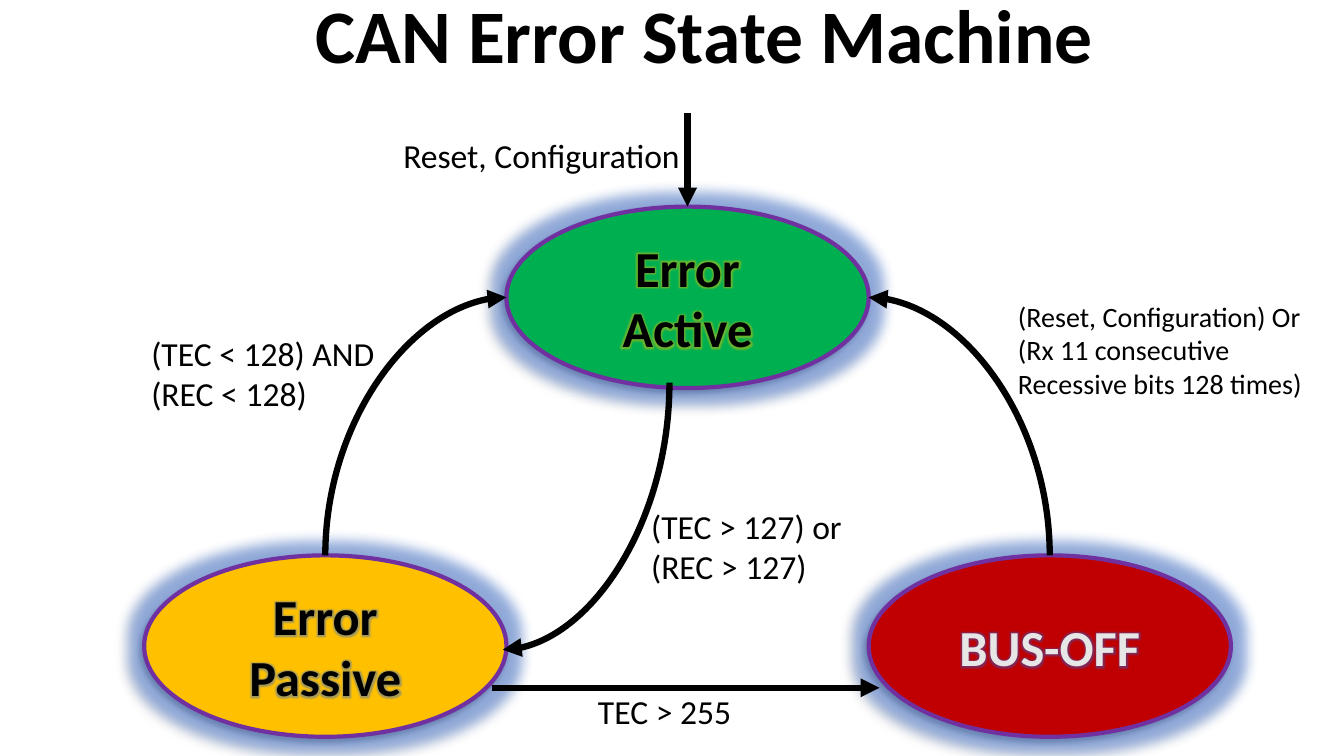
from dataclasses import dataclass

import pptx
import pptx.dml.color
import pptx.enum.shapes
import pptx.enum.text
import pptx.oxml
import pptx.oxml.ns
import pptx.util

Pt = pptx.util.Pt
qn = pptx.oxml.ns.qn
NS = pptx.oxml.ns.nsdecls("a")


@dataclass(frozen=True)
class Theme:
    font: str = "Calibri"
    ink: str = "000000"
    paper: str = "FFFFFF"
    pale: str = "E7E6E6"
    border: str = "7030A0"
    active: str = "00B050"
    passive: str = "FFC000"
    bus_off: str = "C00000"
    halo: str = "2563D8"
    gold: str = "FFC000"
    title_size: float = 54
    state_size: float = 36
    label_size: float = 24
    small_size: float = 20
    border_width: float = 3
    arrow_width: float = 4.5


THEME = Theme()


@dataclass(frozen=True)
class Box:
    left: float
    top: float
    width: float
    height: float

    def at(self, across, down):
        """Point at the given fractions of the width and height."""
        return self.left + across * self.width, self.top + down * self.height

    def lengths(self):
        return [Pt(v) for v in (self.left, self.top, self.width, self.height)]


def rgb(color):
    return pptx.dml.color.RGBColor.from_string(color)


def glow(color, radius):
    return pptx.oxml.parse_xml(
        f'<a:glow {NS} rad="{Pt(radius)}"><a:srgbClr val="{color}">'
        '<a:alpha val="40000"/></a:srgbClr></a:glow>')


def write(frame, text, size, color=THEME.ink, bold=False, align=None):
    frame.text = text
    for paragraph in frame.paragraphs:
        paragraph.alignment = align
        for run in paragraph.runs:
            run.font.name = THEME.font
            run.font.size = Pt(size)
            run.font.bold = bold
            run.font.color.rgb = rgb(color)


def draw_title(slide, box):
    title = slide.shapes.title
    title.left, title.top, title.width, title.height = box.lengths()
    frame = title.text_frame
    write(frame, "CAN Error State Machine", THEME.title_size, bold=True,
          align=pptx.enum.text.PP_ALIGN.CENTER)
    frame.word_wrap = False
    frame.vertical_anchor = pptx.enum.text.MSO_ANCHOR.TOP
    frame.auto_size = pptx.enum.text.MSO_AUTO_SIZE.SHAPE_TO_FIT_TEXT
    outline = pptx.oxml.parse_xml(
        f'<a:ln {NS} w="{Pt(0.75)}"><a:solidFill>'
        f'<a:srgbClr val="{THEME.paper}"/></a:solidFill></a:ln>')
    frame.paragraphs[0].runs[0].font.fill  # the fill follows the outline
    frame.paragraphs[0].runs[0].font._element.insert(0, outline)


def draw_state(slide, box, name, fill, color, text_glow):
    state = slide.shapes.add_shape(
        pptx.enum.shapes.MSO_SHAPE.OVAL, *box.lengths())
    state.fill.solid()
    state.fill.fore_color.rgb = rgb(fill)
    state.line.color.rgb = rgb(THEME.border)
    state.line.width = Pt(THEME.border_width)
    state.shadow.inherit = False
    effects = state.element.spPr.find(qn("a:effectLst"))
    effects.append(glow(THEME.halo, 18))
    effects.append(pptx.oxml.parse_xml(
        f'<a:outerShdw {NS} blurRad="{Pt(4)}" dist="{Pt(3)}" dir="8100000">'
        f'<a:srgbClr val="{THEME.ink}"><a:alpha val="40000"/></a:srgbClr>'
        '</a:outerShdw>'))
    frame = state.text_frame
    frame.vertical_anchor = pptx.enum.text.MSO_ANCHOR.MIDDLE
    write(frame, name, THEME.state_size, color, True,
          pptx.enum.text.PP_ALIGN.CENTER)
    for text_fill in frame._txBody.iter(qn("a:solidFill")):
        text_effects = pptx.oxml.parse_xml(f"<a:effectLst {NS}/>")
        text_effects.append(glow(text_glow, 5))
        text_fill.addnext(text_effects)


def draw_arrow(slide, start, end, kind=pptx.enum.shapes.MSO_CONNECTOR.STRAIGHT):
    arrow = slide.shapes.add_connector(kind, *map(Pt, (*start, *end)))
    arrow.line.color.rgb = rgb(THEME.ink)
    arrow.line.width = Pt(THEME.arrow_width)
    arrow.line._get_or_add_ln().append(
        pptx.oxml.parse_xml(f'<a:tailEnd {NS} type="triangle"/>'))
    arrow.element.spPr.append(pptx.oxml.parse_xml(f"<a:effectLst {NS}/>"))
    return arrow


def draw_curve(slide, start, end):
    """Quarter curve leaving vertically and arriving horizontally."""
    (x1, y1), (x2, y2) = start, end
    mid_x, mid_y = (x1 + x2) / 2, (y1 + y2) / 2
    half_x, half_y = (y2 - y1) / 2, (x1 - x2) / 2  # before the quarter turn
    curve = draw_arrow(slide, (mid_x - half_x, mid_y - half_y),
                       (mid_x + half_x, mid_y + half_y),
                       pptx.enum.shapes.MSO_CONNECTOR.CURVE)
    properties = curve.element.spPr
    properties.find(qn("a:xfrm")).set("rot", "5400000")
    properties.find(qn("a:prstGeom")).set("prst", "curvedConnector2")


def draw_label(slide, box, text, size=THEME.label_size):
    frame = slide.shapes.add_textbox(*box.lengths()).text_frame
    frame.word_wrap = True
    frame.auto_size = pptx.enum.text.MSO_AUTO_SIZE.SHAPE_TO_FIT_TEXT
    write(frame, text, size)


def draw_state_machine(slide, box):
    width, height = box.width / 3, 129.6
    active = Box(box.left + width, box.top + 67, width, height)
    passive = Box(box.left, box.top + box.height - height, width, height)
    bus_off = Box(box.left + 2 * width, passive.top, width, height)

    draw_state(slide, active, "Error\nActive", THEME.active, THEME.ink, THEME.gold)
    draw_state(slide, passive, "Error\nPassive", THEME.passive, THEME.ink, THEME.halo)
    draw_state(slide, bus_off, "BUS-OFF", THEME.bus_off, THEME.pale, THEME.halo)

    draw_curve(slide, passive.at(0.5, 0), active.at(0, 0.5))
    draw_curve(slide, bus_off.at(0.5, 0), active.at(1, 0.5))
    draw_curve(slide, active.at(0.45, 0.97), passive.at(0.99, 0.52))
    draw_arrow(slide, passive.at(0.96, 0.73), bus_off.at(0.03, 0.73))
    reset_x, active_top = active.at(0.5, 0)
    draw_arrow(slide, (reset_x, box.top), (reset_x, active_top))

    for left, top, wide, high, text in (
            (317, 409.5, 209.5, 36, "TEC > 255"),
            (355, 277, 209.5, 65.5, "(TEC > 127) or\n(REC > 127)"),
            (-2, 153.5, 209.5, 65.5, "(TEC < 128) AND\n(REC < 128)"),
            (178, 12.5, 241, 36, "Reset, Configuration")):
        draw_label(slide, Box(box.left + left, box.top + top, wide, high), text)
    draw_label(slide, Box(box.left + 617, box.top + 129.5, 222.5, 80),
               "(Reset, Configuration) Or (Rx 11 consecutive "
               "Recessive bits 128 times)", THEME.small_size)


def main():
    deck = pptx.Presentation()
    deck.slide_width, deck.slide_height = Pt(960), Pt(540)
    slide = deck.slides.add_slide(deck.slide_layouts.get_by_name("Title Only"))
    draw_title(slide, Box(215.3, -12.2, 576, 72.7))
    draw_state_machine(slide, Box(103, 80.6, 776.25, 445.7))
    deck.save("out.pptx")


if __name__ == "__main__":
    main()
